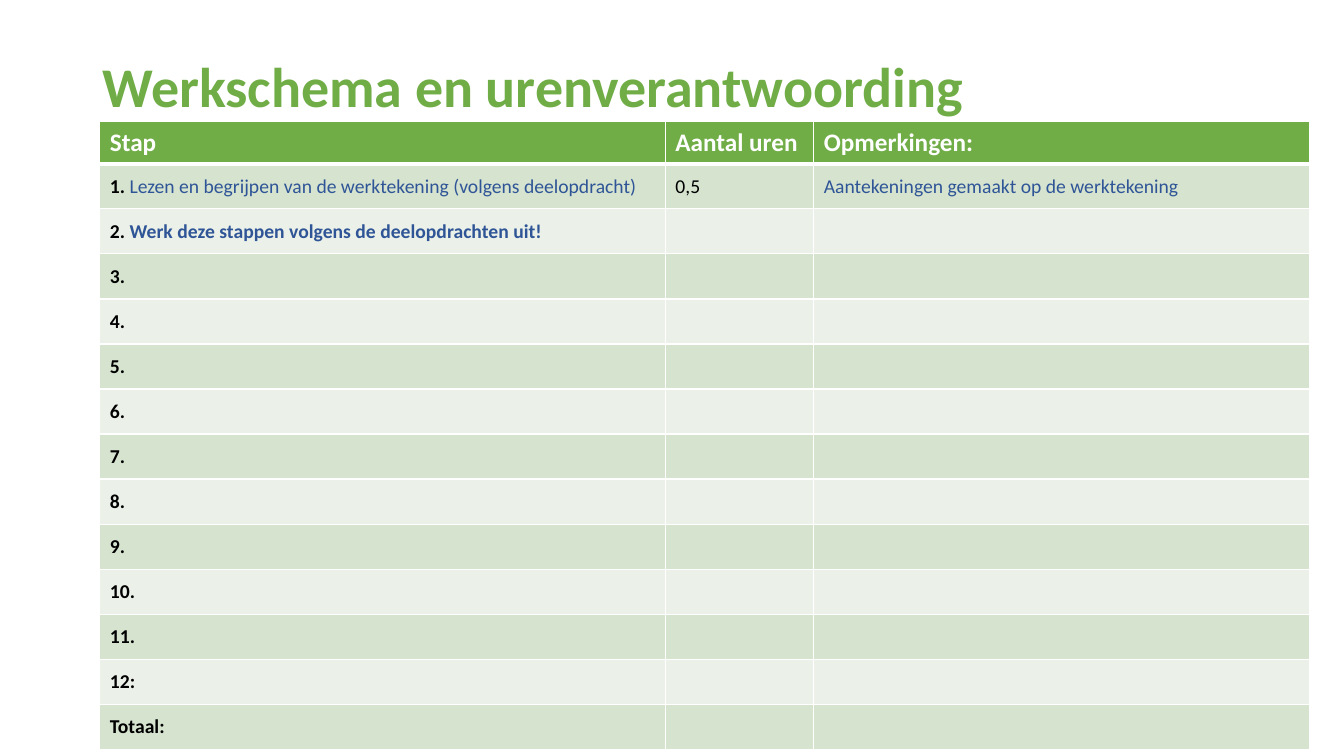
import pptx
import pptx.dml.color
import pptx.enum.text
import pptx.oxml
import pptx.oxml.ns
import pptx.util

Pt = pptx.util.Pt
MIDDLE = pptx.enum.text.MSO_ANCHOR.MIDDLE
GREEN, WHITE, BLACK, BLUE = "70AD47", "FFFFFF", "000000", "2F5597"
BANDS = ["D5E3CF", "EBF1E9"]

HEADINGS = ["Stap", "Aantal uren", "Opmerkingen:"]
COLUMN_WIDTHS = [404, 106, 354]
HEADING_HEIGHT, STEP_HEIGHT = 30.2, 32.2

HEADING = {"size": Pt(18), "bold": True, "color": WHITE}
NUMBER = {"size": Pt(14), "bold": True, "color": BLACK}
HOURS = NUMBER | {"bold": False}
NOTE = HOURS | {"color": BLUE}
HINT = NUMBER | {"color": BLUE}

# Each row holds cells, each cell holds (text, format) runs
STEPS = [
    [[("1. ", NUMBER), ("Lezen en begrijpen van de werktekening (volgens deelopdracht)", NOTE)],
     [("0,5", HOURS)],
     [("Aantekeningen gemaakt op de werktekening", NOTE)]],
    [[("2. ", NUMBER), ("Werk deze stappen volgens de deelopdrachten uit!", HINT)], [], []],
]
OPEN_STEPS = [f"{number}." for number in range(3, 12)] + ["12:", "Totaal:"]
STEPS += [[[(label, NUMBER)], [], []] for label in OPEN_STEPS]


def rgb(value):
    return pptx.dml.color.RGBColor.from_string(value)


def add_runs(paragraph, runs):
    for text, values in runs:
        run = paragraph.add_run()
        run.text = text
        run.font.name = "Calibri"
        for name, value in values.items():
            if name == "color":
                run.font.color.rgb = rgb(value)
            else:
                setattr(run.font, name, value)


def add_borders(cell, widths):
    properties = cell._tc.get_or_add_tcPr()
    for side, width in widths.items():
        properties.append(pptx.oxml.parse_xml(
            f'<a:ln{side} {pptx.oxml.ns.nsdecls("a")} w="{Pt(width)}">'
            f'<a:solidFill><a:srgbClr val="{WHITE}"/></a:solidFill></a:ln{side}>'))


def place_title(slide, left, top, width, height):
    title = slide.shapes.title
    box = {"left": left, "top": top, "width": width, "height": height}
    for name, value in box.items():
        setattr(title, name, Pt(value))
    title.text_frame.vertical_anchor = MIDDLE
    heading = title.text_frame.paragraphs[0]
    heading.alignment = pptx.enum.text.PP_ALIGN.LEFT
    heading.line_spacing = 0.9
    add_runs(heading, [("Werkschema en urenverantwoording",
                        {"size": Pt(40), "bold": True, "color": GREEN})])


def place_schedule(slide, left, top, width, height):
    rows = [[[(text, HEADING)] for text in HEADINGS]] + STEPS
    schedule = slide.shapes.add_table(
        len(rows), len(HEADINGS), Pt(left), Pt(top), Pt(width), Pt(height)).table
    for column, column_width in zip(schedule.columns, COLUMN_WIDTHS):
        column.width = Pt(column_width)

    for row_index, row in enumerate(rows):
        is_heading = row_index == 0
        schedule.rows[row_index].height = Pt(HEADING_HEIGHT if is_heading else STEP_HEIGHT)
        # A thick rule separates the headings from the steps
        borders = {"L": 1, "R": 1, "T": 3 if row_index == 1 else 1, "B": 3 if is_heading else 1}
        for column_index, runs in enumerate(row):
            cell = schedule.cell(row_index, column_index)
            add_borders(cell, borders)
            cell.fill.solid()
            cell.fill.fore_color.rgb = rgb(GREEN if is_heading else BANDS[(row_index - 1) % 2])
            cell.vertical_anchor = MIDDLE
            add_runs(cell.text_frame.paragraphs[0], runs)


def main():
    deck = pptx.Presentation()
    deck.slide_width, deck.slide_height = Pt(960), Pt(540)
    slide = deck.slides.add_slide(deck.slide_layouts[5])
    place_title(slide, 66, 11.5, 828, 104.4)
    place_schedule(slide, 71.3, 86.8, sum(COLUMN_WIDTHS),
                   HEADING_HEIGHT + len(STEPS) * STEP_HEIGHT)
    deck.save("out.pptx")


if __name__ == "__main__":
    main()
